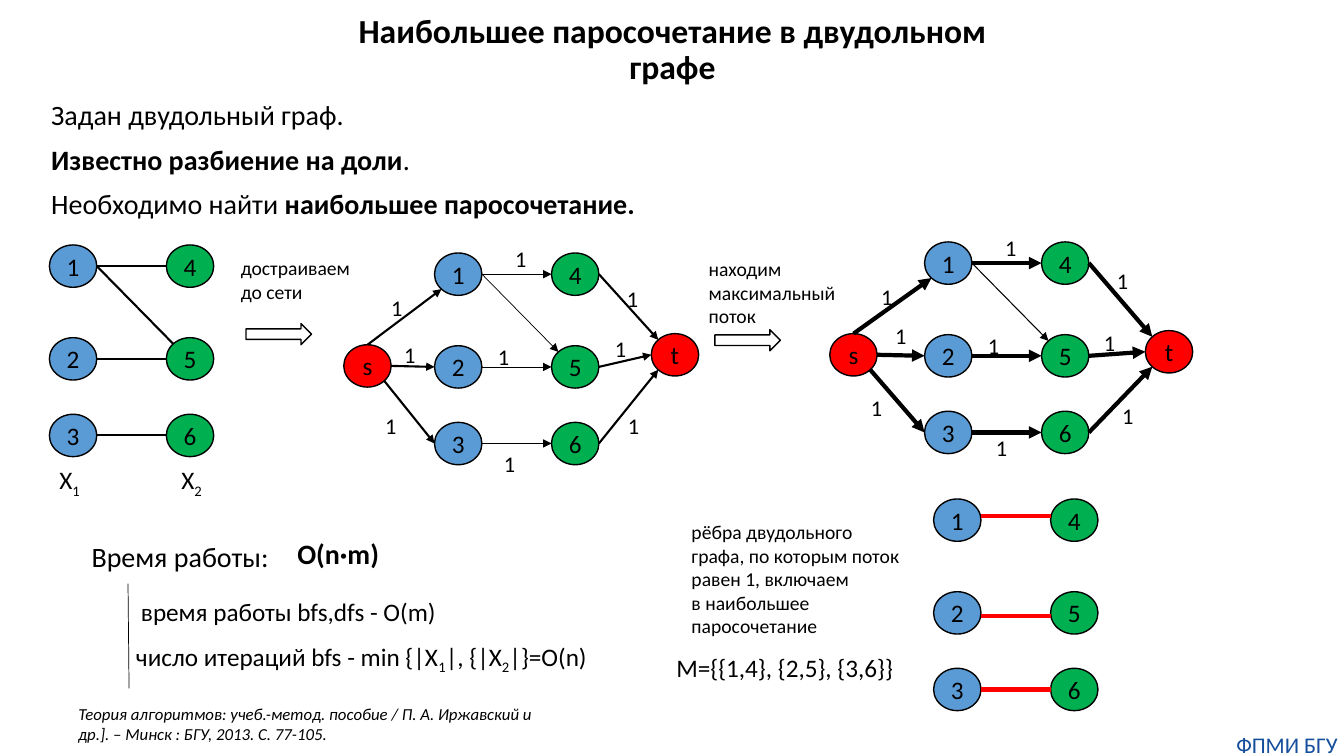
"""Build the slide on maximum matching in a bipartite graph."""
import math

import lxml.etree
import pptx
import pptx.dml.color
import pptx.enum.shapes
import pptx.enum.text
import pptx.oxml.ns
import pptx.util

Inches = pptx.util.Inches
SHAPES = pptx.enum.shapes.MSO_SHAPE
CENTER = pptx.enum.text.PP_ALIGN.CENTER
MIDDLE = pptx.enum.text.MSO_ANCHOR.MIDDLE
BLACK = pptx.dml.color.RGBColor(0x00, 0x00, 0x00)
BLUE = pptx.dml.color.RGBColor(0x5B, 0x9B, 0xD5)
GREEN = pptx.dml.color.RGBColor(0x00, 0xB0, 0x50)
RED = pptx.dml.color.RGBColor(0xFF, 0x00, 0x00)
NAVY = pptx.dml.color.RGBColor(0x14, 0x4E, 0x9D)

NODE_WIDTH, NODE_HEIGHT = 0.47, 0.42
COLUMN_GAP = 1.16
ROWS = (0, 0.92, 1.68)
PORTS = {"right": 0, "bottom right": 45, "bottom left": 135,
         "left": 180, "top left": 225, "top": 270}
MATCHING = (("1", "4"), ("2", "5"), ("3", "6"))
SOURCE_EDGES = (("s", "top", "1", "bottom left"), ("s", "right", "2", "left"),
                ("s", "bottom right", "3", "left"))
SINK_EDGES = (("4", "right", "t", "top left"), ("5", "right", "t", "left"),
              ("6", "right", "t", "bottom left"))


def write(frame, paragraphs, size, color=BLACK, bold=False, italic=False,
          align=None, line_spacing=None, space_before=None):
    """Fill a frame with paragraphs, each a list of (text, style) runs."""
    for index, runs in enumerate(paragraphs):
        paragraph = frame.add_paragraph() if index else frame.paragraphs[0]
        paragraph.alignment = align
        paragraph.line_spacing = line_spacing
        paragraph.space_before = space_before
        font = paragraph.font
        font.name, font.size = "Calibri", pptx.util.Pt(size)
        font.bold, font.italic = bold, italic
        font.color.rgb = color
        for text, style in runs:
            run = paragraph.add_run()
            run.text = text
            if style == "bold":
                run.font.bold = True
            elif style == "sub":
                run.font._element.set("baseline", "-25000")


def plain(*lines):
    """Turn lines of text into paragraphs of one run each."""
    return [[(line, "")] for line in lines]


def add_text(slide, box, paragraphs, size, wrap=False, anchor=None, margin=None, **style):
    """Place a text box at (left, top, width, height)."""
    frame = slide.shapes.add_textbox(*map(Inches, box)).text_frame
    frame.word_wrap = wrap
    if anchor is not None:
        frame.vertical_anchor = anchor
    if margin is not None:
        frame.margin_left = frame.margin_right = Inches(margin)
        frame.margin_top = frame.margin_bottom = Inches(margin)
    write(frame, paragraphs, size, **style)


def add_line(slide, start, end, width, color=BLACK, arrow=False):
    """Draw a straight line between two points, with an optional arrowhead."""
    line = slide.shapes.add_connector(
        pptx.enum.shapes.MSO_CONNECTOR.STRAIGHT, *map(Inches, (*start, *end)))
    line.line.color.rgb = color
    line.line.width = pptx.util.Pt(width)
    if arrow:
        tail = lxml.etree.SubElement(line.line._get_or_add_ln(), pptx.oxml.ns.qn("a:tailEnd"))
        tail.set("type", "triangle")
    lxml.etree.SubElement(line._element.spPr, pptx.oxml.ns.qn("a:effectLst"))


def add_node(slide, corner, name, color):
    """Draw a labelled graph vertex."""
    node = slide.shapes.add_shape(
        SHAPES.OVAL, *map(Inches, (*corner, NODE_WIDTH, NODE_HEIGHT)))
    node.shadow.inherit = False
    node.fill.solid()
    node.fill.fore_color.rgb = color
    node.line.color.rgb = BLACK
    node.line.width = pptx.util.Pt(1)
    node.text_frame.vertical_anchor = MIDDLE
    write(node.text_frame, plain(name), 18, align=CENTER)


def port(corner, side):
    """Find the point on a vertex outline that faces the given side."""
    angle = math.radians(PORTS[side])
    return (corner[0] + NODE_WIDTH / 2 * (1 + math.cos(angle)),
            corner[1] + NODE_HEIGHT / 2 * (1 + math.sin(angle)))


def add_edge(slide, corners, edge, width, arrow=False):
    """Join two vertices, edge being (tail, side, head, side)."""
    tail, tail_side, head, head_side = edge
    add_line(slide, port(corners[tail], tail_side), port(corners[head], head_side),
             width, arrow=arrow)


def add_parts(slide, left, top):
    """Draw both parts of the bipartite graph and return vertex corners."""
    corners = {}
    for row, pair in zip(ROWS, MATCHING):
        for column, (name, color) in enumerate(zip(pair, (BLUE, GREEN))):
            corners[name] = (left + column * COLUMN_GAP, top + row)
            add_node(slide, corners[name], name, color)
    return corners


def add_bipartite_graph(slide, left, top):
    """Draw the given graph with the names of its parts."""
    corners = add_parts(slide, left, top)
    for tail, head in MATCHING:
        add_edge(slide, corners, (tail, "right", head, "left"), 1.5)
    add_edge(slide, corners, ("1", "right", "5", "top left"), 1.5)
    for index, offset in (("1", 0), ("2", 1.21)):
        add_text(slide, (left + offset, top + 2.13, 0.42, 0.4),
                 [[("X", ""), (index, "sub")]], 18)


def add_network(slide, left, top, source, sink, outer, middle, cross, capacities):
    """Draw a flow network; source, sink and capacities are offsets."""
    corners = add_parts(slide, left, top)
    for name, (dx, dy) in (("s", source), ("t", sink)):
        corners[name] = (left + dx, top + dy)
        add_node(slide, corners[name], name, RED)
    for edge in SOURCE_EDGES + SINK_EDGES:
        add_edge(slide, corners, edge, outer, arrow=True)
    for tail, head in MATCHING:
        add_edge(slide, corners, (tail, "right", head, "left"), middle, arrow=True)
    add_edge(slide, corners, ("1", "right", "5", "top left"), cross, arrow=True)
    for dx, dy in capacities:
        add_text(slide, (left + dx, top + dy, 0.32, 0.37), plain("1"), 16)


def add_matching(slide, left, top):
    """Draw the matching that was found, with red edges."""
    corners = add_parts(slide, left, top)
    for (tail, head), shift in zip(MATCHING, (-0.04, 0.03, 0)):
        (x1, y1), (x2, y2) = port(corners[tail], "right"), port(corners[head], "left")
        add_line(slide, (x1, y1 + shift), (x2, y2 + shift), 3, RED)


def add_step(slide, left, top, lines, arrow_left, arrow_top):
    """Place a step caption and its block arrow."""
    add_text(slide, (left, top, 1.47, 0.27 + 0.24 * len(lines)), plain(*lines), 14)
    arrow = slide.shapes.add_shape(
        SHAPES.RIGHT_ARROW, *map(Inches, (left + arrow_left, top + arrow_top, 0.65, 0.21)))
    arrow.shadow.inherit = False
    arrow.fill.background()
    arrow.line.color.rgb = BLACK
    arrow.line.width = pptx.util.Pt(1)


def add_statement(slide, left, top):
    """Place the title and the statement of the problem."""
    add_text(slide, (left + 2.73, top, 7.06, 0.82),
             plain("Наибольшее паросочетание в двудольном графе"), 24, wrap=True,
             anchor=MIDDLE, bold=True, align=CENTER, line_spacing=0.9)
    add_text(slide, (left, top + 0.87, 9.46, 1.24), [
        [("Задан двудольный граф.", "")],
        [("Известно разбиение на доли", "bold"), (".", "")],
        [("Необходимо найти ", ""), ("наибольшее паросочетание.", "bold")],
    ], 20, wrap=True, line_spacing=0.9, space_before=pptx.util.Pt(10))


def add_running_time(slide, left, top):
    """Place the running time analysis and the reference."""
    add_text(slide, (left + 0.13, top + 0.03, 2.1, 0.44), plain("Время работы:"), 20, wrap=True)
    add_text(slide, (left + 2.17, top, 1.02, 0.44), plain("О(n·m)"), 20, bold=True)
    add_line(slide, (left + 0.59, top + 0.52), (left + 0.6, top + 1.56), 0.5)
    add_text(slide, (left + 0.62, top + 0.6, 3.17, 0.4),
             plain("время работы bfs,dfs - О(m)"), 18)
    add_text(slide, (left + 0.57, top + 1.04, 4.81, 0.4), [[
        ("число итераций bfs - min {|X", ""), ("1", "sub"), ("|, {|X", ""),
        ("2", "sub"), ("|}=О(n)", "")]], 18)
    add_text(slide, (left, top + 1.66, 4.86, 0.5), plain(
        "Теория алгоритмов: учеб.-метод. пособие / П. А. Иржавский и др.]. "
        "– Минск : БГУ, 2013. С. 77-105."), 12, wrap=True, italic=True)


def add_conclusion(slide, left, top):
    """Place the rule for reading the matching off the flow."""
    add_text(slide, (left + 0.15, top, 2.28, 1.28), plain(
        "рёбра двудольного", "графа, по которым поток", "равен 1, включаем",
        "в наибольшее", "паросочетание"), 14)
    add_text(slide, (left, top + 1.31, 2.46, 0.4), plain("M={{1,4}, {2,5}, {3,6}}"), 18)


def main():
    """Build and save the slide."""
    deck = pptx.Presentation()
    deck.slide_width, deck.slide_height = Inches(13.33), Inches(7.5)
    slide = deck.slides.add_slide(deck.slide_layouts[6])
    add_statement(slide, 0.41, 0.09)
    add_bipartite_graph(slide, 0.49, 2.43)
    add_step(slide, 2.29, 2.49, ("достраиваем", "до сети"), 0.15, 0.72)
    add_network(slide, 4.31, 2.51, (-0.9, 0.91), (2.15, 0.8), 1.5, 0.5, 0.5, (
        (0.7, -0.13), (-0.4, 0.83), (1.81, 0.27), (-0.59, 1.53), (0.53, 0.85),
        (0.59, 1.91), (1.69, 0.77), (-0.53, 0.36), (1.82, 1.53)))
    add_step(slide, 6.93, 2.5, ("находим", "максимальный", "поток"), 0.16, 0.77)
    add_network(slide, 9.17, 2.4, (-0.94, 0.91), (2.19, 0.88), 3, 3, 0.75, (
        (0.7, -0.13), (-0.39, 0.75), (1.81, 0.2), (-0.63, 1.46), (0.53, 0.85),
        (0.61, 1.86), (1.68, 0.82), (-0.53, 0.36), (1.86, 1.54)))
    add_matching(slide, 9.26, 4.95)
    add_conclusion(slide, 6.61, 5.11)
    add_running_time(slide, 0.68, 5.27)
    add_text(slide, (12.2, 7.25, 1.13, 0.27), plain("ФПМИ БГУ"), 16, wrap=True,
             margin=0, color=NAVY, align=CENTER)
    deck.save("out.pptx")


if __name__ == "__main__":
    main()
